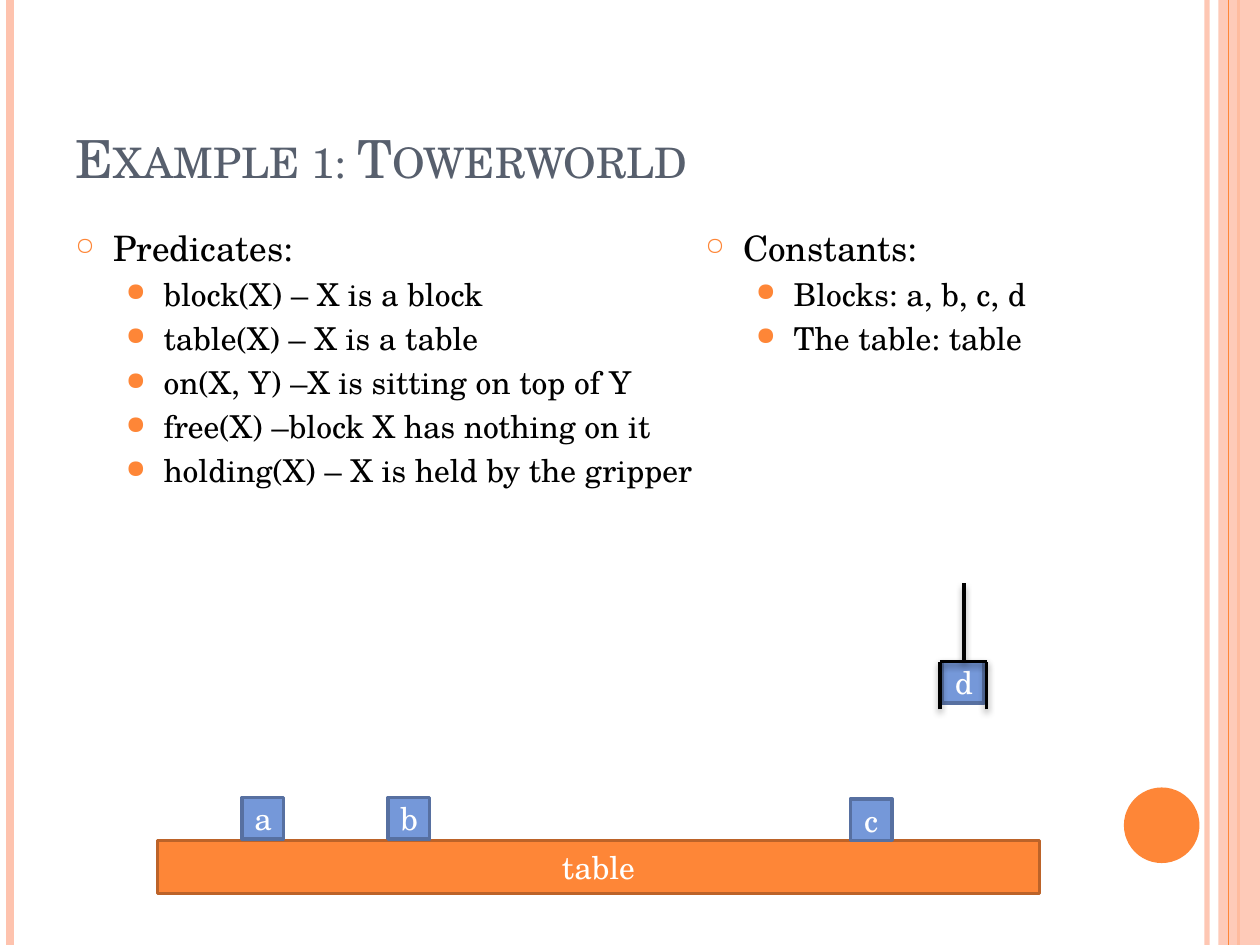
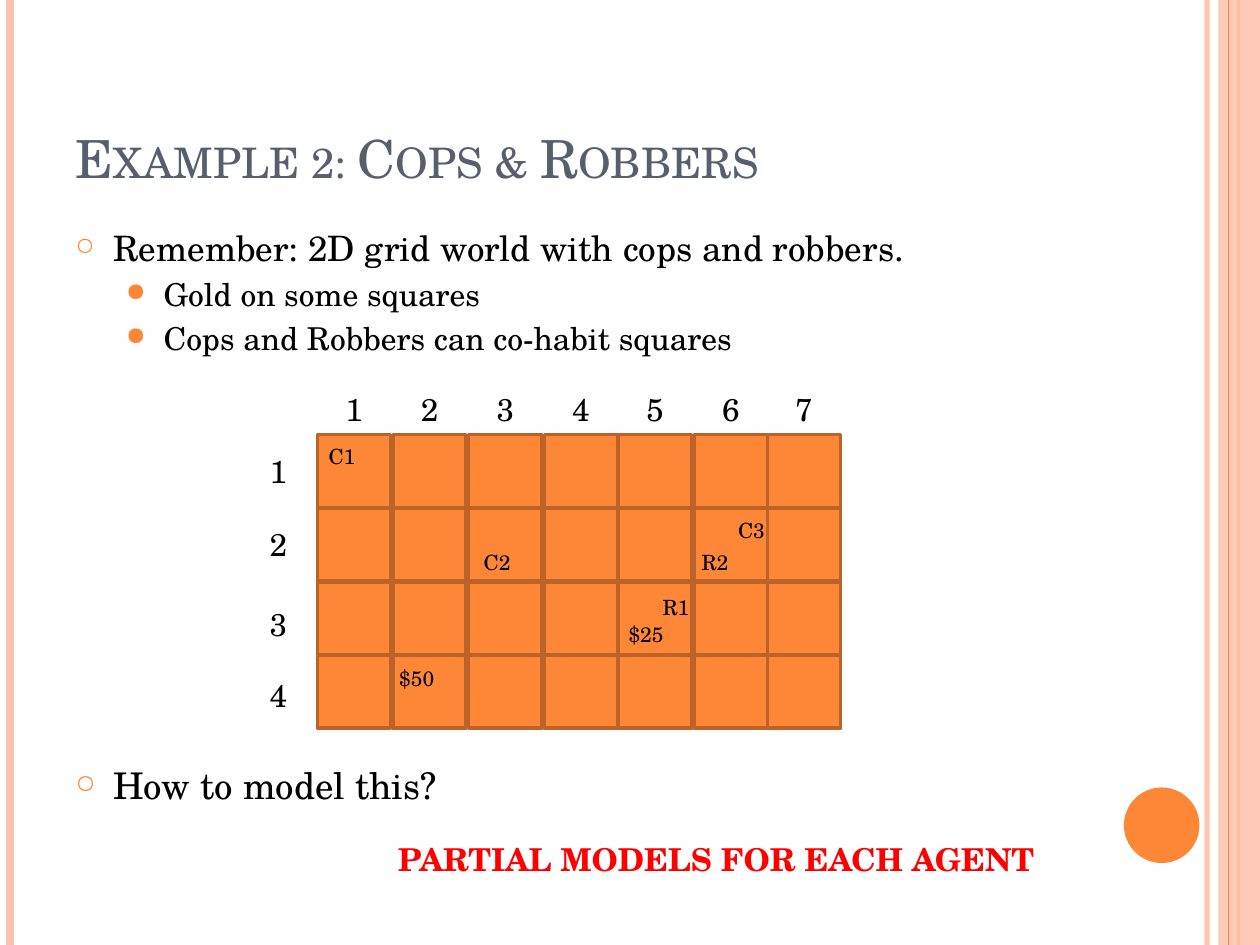
from lxml import etree
from pptx import Presentation
from pptx import util as u
from pptx.dml.color import RGBColor
from pptx.enum import shapes, text
from pptx.oxml.ns import qn

SCALE = 9144  # EMU per px, 100 px to the inch
WIDTH, HEIGHT = 1000, 750
FONT = "TeX Gyre Schola"

ORANGE = RGBColor(0xFE, 0x86, 0x37)
BROWN = RGBColor(0xBC, 0x63, 0x29)
PEACH = RGBColor(0xFE, 0xC3, 0xAE)
BLUE = RGBColor(0x75, 0x98, 0xD9)
NAVY = RGBColor(0x57, 0x70, 0xA1)
SLATE = RGBColor(0x57, 0x5F, 0x6D)
RED = RGBColor(0xFF, 0x00, 0x00)
BLACK = RGBColor(0x00, 0x00, 0x00)
WHITE = RGBColor(0xFF, 0xFF, 0xFF)

# per level: character, size in %, indent in px, text size, space before in points
BULLETS = (("○", 70, 30, 20, 6), ("●", 80, 70, 18, 3.6))
HANGING = 30
LEFT, CENTER = text.PP_ALIGN.LEFT, text.PP_ALIGN.CENTER


def px(*lengths):
    return [u.Emu(length * SCALE) for length in lengths]


def add_xml(parent, tag, **attributes):
    values = {name: str(value) for name, value in attributes.items()}
    return etree.SubElement(parent, qn(tag), values)


def set_opacity(properties, percent):
    for color in properties.iter(qn("a:srgbClr")):
        add_xml(color, "a:alpha", val=percent * 1000)


class Painter:
    """Draws elements on the current slide in the style of the deck."""

    def __init__(self):
        self.deck = Presentation()
        self.deck.slide_width, self.deck.slide_height = px(WIDTH, HEIGHT)
        self.page = None

    def new_page(self, title):
        layout = self.deck.slide_layouts.get_by_name("Title Only")
        self.page = self.deck.slides.add_slide(layout)
        self.side_bands()
        self.title(title)

    def side_bands(self):
        self.line(958, 0, 958, HEIGHT, PEACH, 3, opacity=93)
        self.line(8, 0, 8, HEIGHT, PEACH, 4.5)
        self.line(983, 0, 983, HEIGHT, ORANGE, 1.5)
        self.shape(967, 0, 33, HEIGHT, PEACH, opacity=87)
        self.line(975, 0, 975, HEIGHT, ORANGE, 0.75)
        self.shape(892, 625, 60, 60, ORANGE, kind=shapes.MSO_SHAPE.OVAL)

    def title(self, words):
        box = self.page.shapes.title
        box.left, box.top, box.width, box.height = px(50, 30, 817, 125)
        frame = box.text_frame
        frame.auto_size = text.MSO_AUTO_SIZE.NONE
        frame.vertical_anchor = text.MSO_ANCHOR.BOTTOM
        span = self.add_words(frame.paragraphs[0], words, 30, SLATE)
        span._r.get_or_add_rPr().set("cap", "small")

    def add_words(self, para, words, size, color, align=LEFT, bold=False):
        span = para.add_run()
        span.text = words
        para.alignment = align
        font = para.font
        font.name, font.size, font.bold = FONT, u.Pt(size), bold
        font.color.rgb = color
        return span

    def shape(self, left, top, width, height, fill, border=None, words="",
              kind=shapes.MSO_SHAPE.RECTANGLE, opacity=100):
        box = self.page.shapes.add_shape(kind, *px(left, top, width, height))
        box.shadow.inherit = False
        box.fill.solid()
        box.fill.fore_color.rgb = fill
        if border is None:
            box.line.fill.background()
        else:
            box.line.color.rgb = border
            box.line.width = u.Pt(2)
        if opacity < 100:
            set_opacity(box._element.spPr, opacity)
        if words:
            box.text_frame.vertical_anchor = text.MSO_ANCHOR.MIDDLE
            self.add_words(box.text_frame.paragraphs[0], words, 18, WHITE, CENTER)

    def line(self, x1, y1, x2, y2, color, weight, opacity=100, shadow=False):
        line = self.page.shapes.add_connector(
            shapes.MSO_CONNECTOR.STRAIGHT, *px(x1, y1, x2, y2))
        line.line.color.rgb = color
        line.line.width = u.Pt(weight)
        properties = line._element.spPr
        if opacity < 100:
            set_opacity(properties, opacity)
        effects = add_xml(properties, "a:effectLst")
        if shadow:
            outer = add_xml(effects, "a:outerShdw", blurRad=int(u.Pt(4)),
                            dist=int(u.Pt(2)), dir=90 * 60000, rotWithShape=0)
            add_xml(outer, "a:srgbClr", val=BLACK)
            set_opacity(outer, 40)

    def label(self, left, top, width, height, words, size=18, color=BLACK,
              align=LEFT, wrap=False, bold=False):
        box = self.page.shapes.add_textbox(*px(left, top, width, height))
        frame = box.text_frame
        frame.word_wrap = wrap
        frame.auto_size = text.MSO_AUTO_SIZE.SHAPE_TO_FIT_TEXT
        self.add_words(frame.paragraphs[0], words, size, color, align, bold)

    def bullets(self, left, top, width, height, items):
        """Add a list of (level, words) and return its paragraphs."""
        box = self.page.shapes.add_textbox(*px(left, top, width, height))
        frame = box.text_frame
        frame.word_wrap = True
        for number, (level, words) in enumerate(items):
            para = frame.add_paragraph() if number else frame.paragraphs[0]
            mark, percent, indent, size, before = BULLETS[level]
            para.level = level
            para.space_before = u.Pt(before)
            properties = para._p.get_or_add_pPr()
            properties.set("marL", str(indent * SCALE))
            properties.set("indent", str(-HANGING * SCALE))
            color = add_xml(properties, "a:buClr")
            add_xml(color, "a:srgbClr", val=ORANGE)
            add_xml(properties, "a:buSzPct", val=percent * 1000)
            add_xml(properties, "a:buChar", char=mark)
            self.add_words(para, words, size, BLACK)
        return frame.paragraphs


def towerworld(painter):
    painter.new_page("Example 1: Towerworld")
    painter.shape(125, 667, 700, 42, ORANGE, BROWN, "table")
    blocks = (("a", 192, 633), ("b", 308, 633), ("c", 675, 634), ("d", 748, 525))
    for name, left, top in blocks:
        painter.shape(left, top, 33, 33, BLUE, NAVY, name)

    gripper = ((765, 463, 765, 525), (746, 525, 783, 525),
               (783, 563, 783, 525), (746, 563, 746, 525))
    for ends in gripper:
        painter.line(*ends, BLACK, 2, shadow=True)

    painter.bullets(50, 175, 517, 500, (
        (0, "Predicates:"),
        (1, "block(X) – X is a block"),
        (1, "table(X) – X is a table"),
        (1, "on(X, Y) –X is sitting on top of Y"),
        (1, "free(X) –block X has nothing on it"),
        (1, "holding(X) – X is held by the gripper"),
    ))
    painter.bullets(550, 175, 317, 500, (
        (0, "Constants:"),
        (1, "Blocks: a, b, c, d"),
        (1, "The table: table"),
    ))


def cops_and_robbers(painter):
    painter.new_page("Example 2: Cops & Robbers")
    paragraphs = painter.bullets(50, 175, 817, 533, (
        (0, "Remember: 2D grid world with cops and robbers."),
        (1, "Gold on some squares"),
        (1, "Cops and Robbers can co-habit squares"),
        (0, "How to model this?"),
    ))
    question = paragraphs[-1]
    question.space_before = u.Pt(232)  # leaves room for the grid
    question.font.size = u.Pt(21)

    cell = 58
    columns = (252, 312, 372, 432, 491, 551, 609)
    rows = (345, 403, 462, 520)
    row_label_tops = (354, 412, 475, 532)
    for top in rows:
        for left in columns:
            painter.shape(left, top, cell, cell, ORANGE, BROWN)
    for number, left in enumerate(columns, 1):
        painter.label(left, 305, cell, 40, str(number), align=CENTER, wrap=True)
    for number, top in enumerate(row_label_tops, 1):
        painter.label(192, top, cell, 40, str(number), align=CENTER, wrap=True)

    pieces = (("C1", 251, 347), ("C3", 576, 406), ("C2", 374, 431),
              ("R1", 516, 467), ("$25", 489, 488), ("R2", 547, 431),
              ("$50", 307, 523))
    for name, left, top in pieces:
        width = 48 if name.startswith("$") else 42
        painter.label(left, top, width, 30, name, size=12)
    painter.label(306, 662, 533, 40, "PARTIAL MODELS FOR EACH AGENT",
                  color=RED, bold=True)


def main():
    painter = Painter()
    towerworld(painter)
    cops_and_robbers(painter)
    painter.deck.save("out.pptx")


if __name__ == "__main__":
    main()
